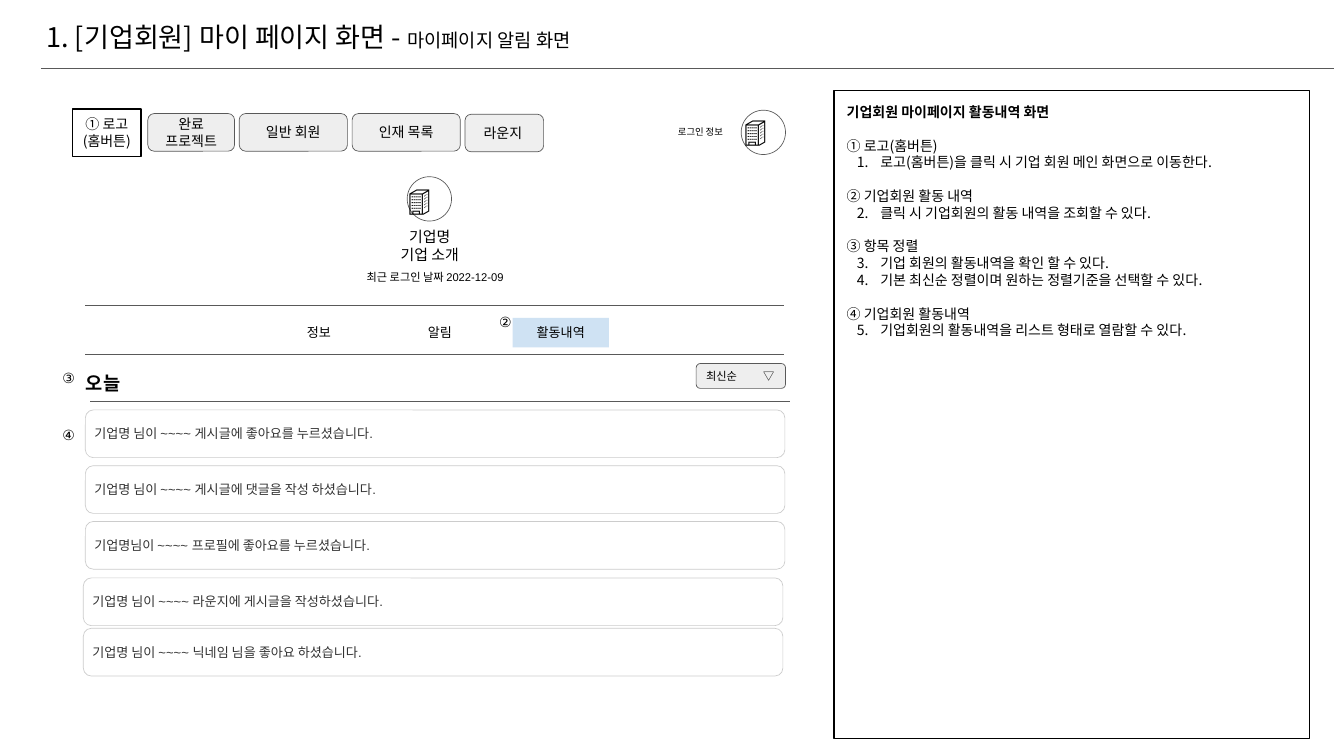
from lxml import etree
from pptx import Presentation
from pptx.dml.color import RGBColor
from pptx.enum.shapes import MSO_CONNECTOR, MSO_SHAPE
from pptx.enum.text import MSO_ANCHOR, MSO_AUTO_SIZE, PP_ALIGN
from pptx.oxml.ns import qn
from pptx.util import Pt

PX = 9144  # 100 px to the inch
RECT, ROUND, OVAL = MSO_SHAPE.RECTANGLE, MSO_SHAPE.ROUNDED_RECTANGLE, MSO_SHAPE.OVAL
TOP, MIDDLE = MSO_ANCHOR.TOP, MSO_ANCHOR.MIDDLE
LEFT, CENTER = PP_ALIGN.LEFT, PP_ALIGN.CENTER
ARIAL, NOTO = "Arial", "Noto Sans CJK KR"
BLACK, GRAY, BUTTON = "000000", "595959", "EEEEEE"
color = RGBColor.from_string


def add_box(place, text="", size=15, font=ARIAL, ink=BLACK, align=LEFT, anchor=TOP,
            kind=None, fill=None, line=None, weight=0.75, inset=10, left_inset=None):
    """Add a text box, or a preset shape when kind is given, with one paragraph per text line."""
    left, top, width, height = [length * PX for length in place]
    if kind is None:
        box = page.shapes.add_textbox(left, top, width, height)
    else:
        box = page.shapes.add_shape(kind, left, top, width, height)
        box.shadow.inherit = False
    if fill:
        box.fill.solid()
        box.fill.fore_color.rgb = color(fill)
    else:
        box.fill.background()
    if line:
        box.line.color.rgb = color(line)
        box.line.width = Pt(weight)
    else:
        box.line.fill.background()
    frame = box.text_frame
    frame.word_wrap = True
    frame.vertical_anchor = anchor
    frame.margin_top = frame.margin_right = frame.margin_bottom = inset * PX
    frame.margin_left = (left_inset or inset) * PX
    if text:
        frame.text = text
        for para in frame.paragraphs:
            para.alignment = align
            para.line_spacing = Pt(size * 1.2)
            para.font.size = Pt(size)
            para.font.name = font
            para.font.color.rgb = color(ink)
    return box


deck = Presentation()
deck.slide_width, deck.slide_height = 2000 * PX, 1125 * PX
page = deck.slides.add_slide(deck.slide_layouts[5])

# Title
title = page.shapes.title
title.left, title.top, title.width, title.height = 0, 0, 2000 * PX, 109 * PX
frame = title.text_frame
frame.auto_size = MSO_AUTO_SIZE.NONE
frame.word_wrap = True
frame.vertical_anchor = MIDDLE
frame.margin_left = frame.margin_right = frame.margin_top = frame.margin_bottom = 19 * PX
para = frame.paragraphs[0]
para.alignment = LEFT
para._p.get_or_add_pPr().set("marL", str(50 * PX))
para.font.name = NOTO
para.font.color.rgb = color(BLACK)
for text, size in [("1. [기업회원] 마이 페이지 화면 - ", 29), ("마이페이지 알림 화면", 20)]:
    span = para.add_run()
    span.text = text
    span.font.size = Pt(size)

# Rules: left, right, height on the page
for start, end, level in [(61, 1985, 101), (127, 1167, 455), (127, 1167, 528), (134, 1175, 597)]:
    rule = page.shapes.add_connector(MSO_CONNECTOR.STRAIGHT, start * PX, level * PX,
                                     end * PX, level * PX)
    rule.line.color.rgb = color(GRAY)
    rule.line.width = Pt(0.75)
    etree.SubElement(rule._element.spPr, qn("a:effectLst"))

# Description panel
sections = [
    ("① 로고(홈버튼)", ["로고(홈버튼)을 클릭 시 기업 회원 메인 화면으로 이동한다."]),
    ("② 기업회원 활동 내역", ["클릭 시 기업회원의 활동 내역을 조회할 수 있다."]),
    ("③ 항목 정렬", ["기업 회원의 활동내역을 확인 할 수 있다.",
                 "기본 최신순 정렬이며 원하는 정렬기준을 선택할 수 있다."]),
    ("④ 기업회원 활동내역", ["기업회원의 활동내역을 리스트 형태로 열람할 수 있다."]),
]
panel = add_box((1241, 135, 708, 964), "기업회원 마이페이지 활동내역 화면",
                kind=RECT, line=BLACK, weight=1.5, inset=19)
panel.text_frame.paragraphs[0].font.bold = True
number = 0
for heading, items in sections:
    for text in [heading, *items]:
        para = panel.text_frame.add_paragraph()
        para.text = text
        para.alignment = LEFT
        para.line_spacing = Pt(18)
        if text == heading:
            para.space_before = Pt(18)
        else:
            number += 1
            properties = para._p.get_or_add_pPr()
            properties.set("marL", str(50 * PX))
            properties.set("indent", str(-35 * PX))
            etree.SubElement(properties, qn("a:buAutoNum"), type="arabicPeriod",
                             startAt=str(number))
        para.font.size = Pt(15)
        para.font.name = NOTO
        para.font.color.rgb = color(BLACK)

# Top menu
add_box((108, 162, 102, 71), "① 로고\n(홈버튼)", font=NOTO, align=CENTER,
        kind=RECT, line=BLACK, weight=1.5)
for left, width, text, fill in [(220, 129, "완료 프로젝트", BUTTON), (356, 161, "일반 회원", BUTTON),
                                (524, 161, "인재 목록", "EFEFEF")]:
    add_box((left, 169, width, 56), text, font=NOTO, align=CENTER, anchor=MIDDLE,
            kind=ROUND, fill=fill, line=GRAY)
add_box((692, 170, 117, 56), "라운지", font=NOTO, anchor=MIDDLE,
        kind=ROUND, fill="EFEFEF", line=GRAY, left_inset=25)
add_box((999, 180, 122, 37), "로그인 정보", 10)

# Company avatars: circle corner, then icon corner
for circle_left, circle_top, icon_left, icon_top in [(1103, 164, 1098, 159), (606, 263, 598, 261)]:
    add_box((circle_left, circle_top, 66, 66), kind=OVAL, line=GRAY)
    add_box((icon_left, icon_top, 82, 71), "🏢", 30)

# Profile
add_box((532, 329, 215, 74), "기업명\n기업 소개", 16, align=CENTER)
add_box((494, 392, 307, 40), "최근 로그인 날짜 2022-12-09", 12, align=CENTER)

# Tabs
for column, (text, fill) in enumerate([("정보", "FFFFFF"), ("알림", "FFFFFF"), ("활동내역", "CFE2F3")]):
    add_box((403 + 180 * column, 473, 143, 44), text, 14, align=CENTER, kind=RECT, fill=fill)

# Activity list
add_box((118, 543, 274, 54), "오늘", 20).text_frame.paragraphs[0].font.bold = True
sorter = add_box((1036, 541, 133, 37), "최신순\t▽", 12, anchor=MIDDLE,
                 kind=ROUND, fill=BUTTON, line=GRAY, left_inset=13)
properties = sorter.text_frame.paragraphs[0]._p.get_or_add_pPr()
tabs = etree.Element(qn("a:tabLst"))
etree.SubElement(tabs, qn("a:tab"), pos=str(85 * PX), algn="l")
properties.find(qn("a:defRPr")).addprevious(tabs)

for left, top, text in [
    (127, 610, "기업명 님이 ~~~~ 게시글에 좋아요를 누르셨습니다."),
    (127, 693, "기업명 님이 ~~~~ 게시글에 댓글을 작성 하셨습니다."),
    (127, 776, "기업명님이 ~~~~ 프로필에 좋아요를 누르셨습니다."),
    (124, 860, "기업명 님이 ~~~~ 라운지에 게시글을 작성하셨습니다."),
    (124, 935, "기업명 님이 ~~~~ 닉네임 님을 좋아요 하셨습니다."),
]:
    add_box((left, top, 1041, 71), text, 14, ink="333333", anchor=MIDDLE,
            kind=ROUND, fill="FFFFFF", line="CCCCCC")

# Callout numbers
for left, top, mark in [(733, 457, "②"), (83, 540, "③"), (83, 624, "④")]:
    add_box((left, top, 40, 45), mark)

deck.save("out.pptx")
